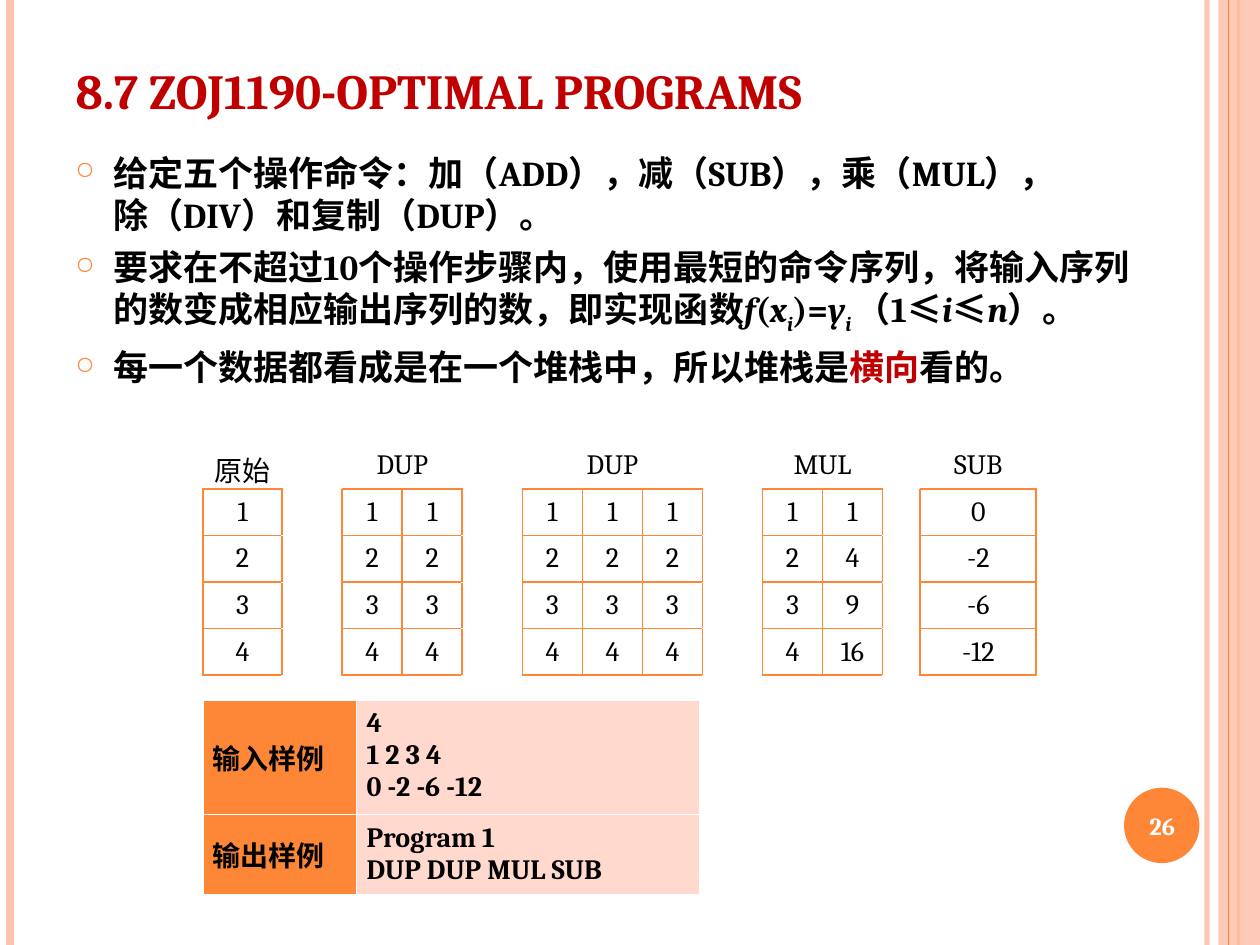
from itertools import accumulate
from pptx import Presentation
from pptx.dml.color import RGBColor
from pptx.enum.shapes import MSO_CONNECTOR as Link, MSO_SHAPE as Shape
from pptx.enum.text import MSO_ANCHOR as Anchor, MSO_AUTO_SIZE as AutoSize, PP_ALIGN as Align
from pptx.oxml.ns import qn
from pptx.util import Cm, Pt
from lxml.etree import SubElement

COLORS = {"orange": "FE8637", "peach": "FEC3AE", "pale": "FFD9CE",
          "red": "C00000", "black": "000000", "white": "FFFFFF"}
SERIF, CJK = "Cambria", "Noto Sans CJK SC"
TITLE = "8.7 ZOJ1190-OPTIMAL PROGRAMS"
PAGE_NUMBER = "26"
BULLETS = [
    [("给定五个操作命令：加（ADD），减（SUB），乘（MUL），\n除（DIV）和复制（DUP）。", "")],
    [("要求在不超过10个操作步骤内，使用最短的命令序列，将输入序列的数变成相应输出序列的数，即实现函数", ""),
     ("f", "italic"), ("(", ""), ("x", "italic"), ("i", "italic sub"), (")=", ""),
     ("y", "italic"), ("i ", "italic sub"), ("（1", ""), ("≤", "cjk"), ("i", "italic"),
     ("≤", "cjk"), ("n", "italic"), ("）。", "")],
    [("每一个数据都看成是在一个堆栈中，所以堆栈是", ""), ("横向", "red"), ("看的。", "")],
]
STACKS = [
    ("原始", 1.6, ["1", "2", "3", "4"]),
    ("DUP", 1.21, ["1 1", "2 2", "3 3", "4 4"]),
    ("DUP", 1.21, ["1 1 1", "2 2 2", "3 3 3", "4 4 4"]),
    ("MUL", 1.21, ["1 1", "2 4", "3 9", "4 16"]),
    ("SUB", 2.34, ["0", "-2", "-6", "-12"]),
]
GAPS = [1.21, 1.21, 1.21, 0.76]
SAMPLES = [
    ("输入样例", ["4", "1 2 3 4", "0 -2 -6 -12"], Anchor.TOP, 2.16),
    ("输出样例", ["Program 1", "DUP DUP MUL SUB"], Anchor.MIDDLE, 1.45),
]
RAILS = [(24.33, "peach", 3, 93), (0.2, "peach", 4.5, 100),
         (24.97, "orange", 1.5, 100), (24.77, "orange", 0.75, 100)]
WIDTH, HEIGHT, TABLE_LEFT = 25.4, 19.05, 4.09


def rgb(name):
    return RGBColor.from_string(COLORS[name])


def add_alpha(element, percent):
    for color in element.iter(qn("a:srgbClr")):
        SubElement(color, qn("a:alpha"), val=str(percent * 1000))


def style(para, size, color="black", bold=False, align=Align.LEFT, name=SERIF):
    para.alignment = align
    font = para.font
    font.size, font.bold, font.name = Pt(size), bold, name
    font.color.rgb = rgb(color)
    SubElement(para._p.pPr.find(qn("a:defRPr")), qn("a:ea"), typeface=CJK)


def add_bullet(para):
    props = para._p.get_or_add_pPr()
    props.set("marL", str(Cm(0.76)))
    props.set("indent", str(Cm(-0.76)))
    SubElement(SubElement(props, qn("a:buClr")), qn("a:srgbClr"), val=COLORS["orange"])
    SubElement(props, qn("a:buSzPct"), val="70000")
    SubElement(props, qn("a:buChar"), char="○")


def add_span(para, text, look):
    for index, line in enumerate(text.split("\n")):
        if index:
            para.add_line_break()
        span = para.add_run()
        span.text = line
        if "italic" in look:
            span.font.italic = True
        if "sub" in look:
            span._r.get_or_add_rPr().set("baseline", "-25000")
        if "cjk" in look:
            span.font.name = CJK
        if "red" in look:
            span.font.color.rgb = rgb("red")


def set_borders(cell, left, right, top, bottom):
    props = cell._tc.get_or_add_tcPr()
    for side, color in zip("LRTB", (left, right, top, bottom)):
        width = Pt(1.08 if color == "orange" else 0.45)
        line = SubElement(props, qn("a:ln" + side), w=str(width))
        SubElement(SubElement(line, qn("a:solidFill")), qn("a:srgbClr"), val=COLORS[color])


def add_grid(page, top, widths, heights):
    frame = page.shapes.add_table(len(heights), len(widths), Cm(TABLE_LEFT), Cm(top),
                                  Cm(sum(widths)), Cm(sum(heights)))
    grid = frame.table
    grid.first_row = grid.horz_banding = False
    for column, width in zip(grid.columns, widths):
        column.width = Cm(width)
    for row, height in zip(grid.rows, heights):
        row.height = Cm(height)
    return grid


def fill_cell(cell, lines, margin, anchor=Anchor.MIDDLE, **looks):
    cell.margin_left = cell.margin_right = Cm(margin)
    cell.margin_top = cell.margin_bottom = Cm(0.13 if any(lines) else 0)
    cell.vertical_anchor = anchor
    cell.text = "\n".join(lines)
    for para in cell.text_frame.paragraphs:
        style(para, 16, **looks)


def add_frame(page):
    for x, color, weight, opacity in RAILS:
        rail = page.shapes.add_connector(Link.STRAIGHT, Cm(x), Cm(0), Cm(x), Cm(HEIGHT))
        rail.line.color.rgb, rail.line.width = rgb(color), Pt(weight)
        add_alpha(rail._element, opacity)
        SubElement(rail._element.spPr, qn("a:effectLst"))
        if x == 24.97:
            add_shape(page, Shape.RECTANGLE, (24.56, 0, 0.84, HEIGHT), "peach", 87)
    add_shape(page, Shape.OVAL, (22.66, 15.88, 1.52, 1.52), "orange", 100)


def add_shape(page, kind, area, color, opacity):
    shape = page.shapes.add_shape(kind, *map(Cm, area))
    shape.shadow.inherit = False
    shape.fill.solid()
    shape.fill.fore_color.rgb = rgb(color)
    shape.line.fill.background()
    add_alpha(shape._element.spPr, opacity)


def add_texts(page):
    title = page.shapes.title
    title.left, title.top, title.width, title.height = map(Cm, (1.27, 0.33, 22.23, 2.21))
    title.text_frame.auto_size = AutoSize.NONE
    title.text_frame.vertical_anchor = Anchor.BOTTOM
    title.text_frame.text = TITLE
    style(title.text_frame.paragraphs[0], 28, "red", True)

    body = page.shapes.add_textbox(*map(Cm, (1.27, 2.92, 22.43, 5.41))).text_frame
    body.word_wrap = True
    for index, spans in enumerate(BULLETS):
        para = body.add_paragraph() if index else body.paragraphs[0]
        add_bullet(para)
        if index:
            para.space_before = Pt(6)
        style(para, 20, bold=True)
        for text, look in spans:
            add_span(para, text, look)

    number = page.shapes.add_textbox(*map(Cm, (22.58, 15.93, 1.7, 1.45))).text_frame
    number.word_wrap = True
    number.vertical_anchor = Anchor.MIDDLE
    number.text = PAGE_NUMBER
    style(number.paragraphs[0], 14, "white", True, Align.CENTER)


def add_stacks(page):
    spans = [len(rows[0].split()) for _, _, rows in STACKS]
    starts = list(accumulate((span + 1 for span in spans), initial=0))
    widths, columns = [], []
    for (command, width, rows), span, gap in zip(STACKS, spans, GAPS + [None]):
        widths += [width] * span
        values = zip(*(row.split() for row in rows))
        columns += [[command if i == 0 else "", *column] for i, column in enumerate(values)]
        if gap:
            widths.append(gap)
            columns.append([""] * 5)
    grid = add_grid(page, 8.92, widths, [0.84] * 5)
    for x, column in enumerate(columns):
        is_gap = x + 1 in starts
        for y, text in enumerate(column):
            cell = grid.cell(y, x)
            sides = "orange" if y else "white"
            ends = "white" if is_gap else "orange"
            set_borders(cell, sides, sides, ends if y else "white", ends)
            cell.fill.background()
            fill_cell(cell, [text], 0.18, align=Align.CENTER)
    for start, span in zip(starts, spans):
        if span > 1:
            grid.cell(0, start).merge(grid.cell(0, start + span - 1))


def add_samples(page):
    grid = add_grid(page, 14.12, [3.1, 6.91], [height for *_, height in SAMPLES])
    for y, (label, lines, anchor, _) in enumerate(SAMPLES):
        parts = [([label], "orange", CJK, Anchor.MIDDLE), (lines, "pale", SERIF, anchor)]
        for x, (texts, color, name, place) in enumerate(parts):
            cell = grid.cell(y, x)
            set_borders(cell, *["white"] * 4)
            cell.fill.solid()
            cell.fill.fore_color.rgb = rgb(color)
            fill_cell(cell, texts, 0.2, place, bold=True, align=Align.JUSTIFY, name=name)


def main():
    deck = Presentation()
    deck.slide_width, deck.slide_height = Cm(WIDTH), Cm(HEIGHT)
    page = deck.slides.add_slide(deck.slide_layouts[5])
    add_frame(page)
    add_texts(page)
    add_stacks(page)
    add_samples(page)
    deck.save("out.pptx")


if __name__ == "__main__":
    main()
